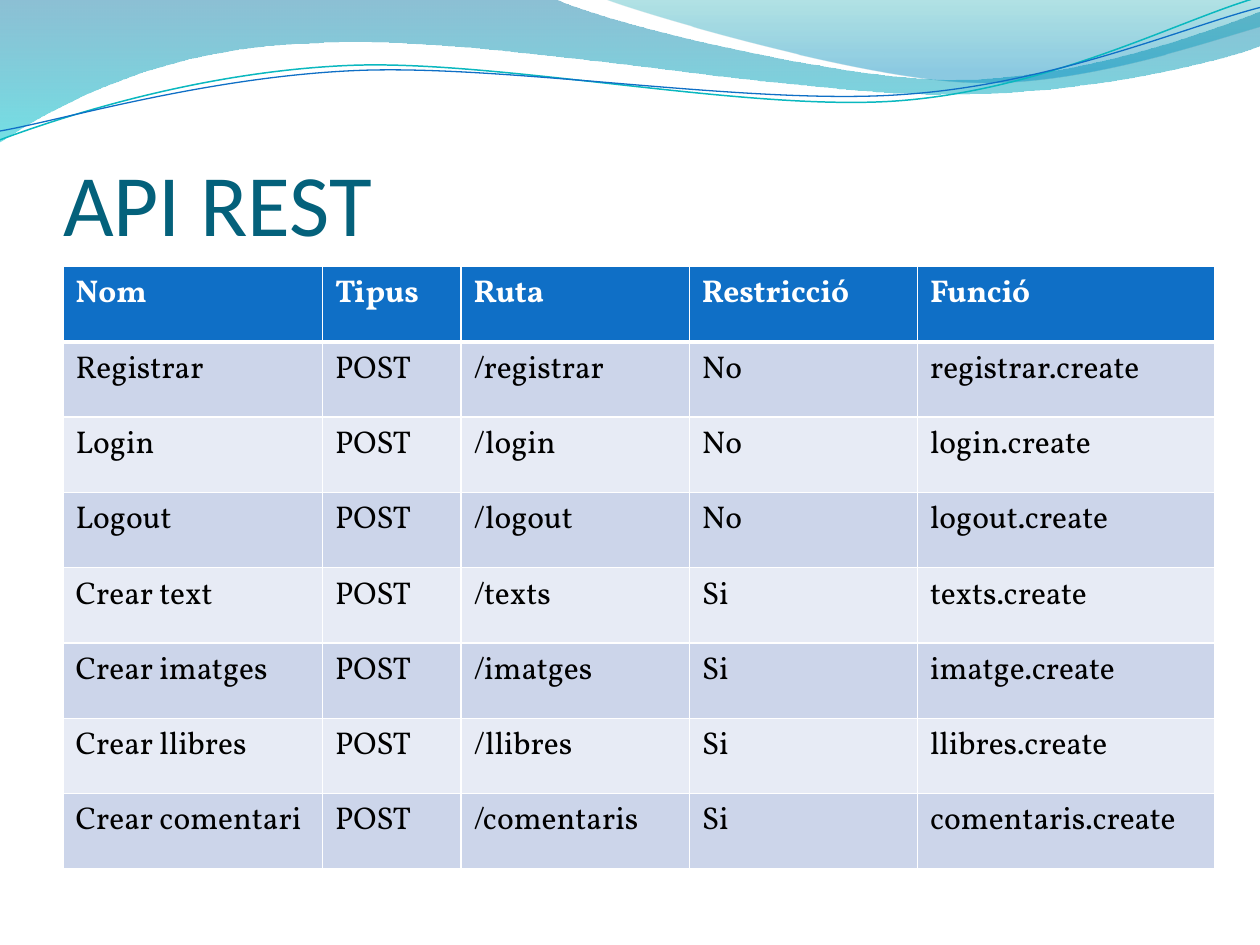
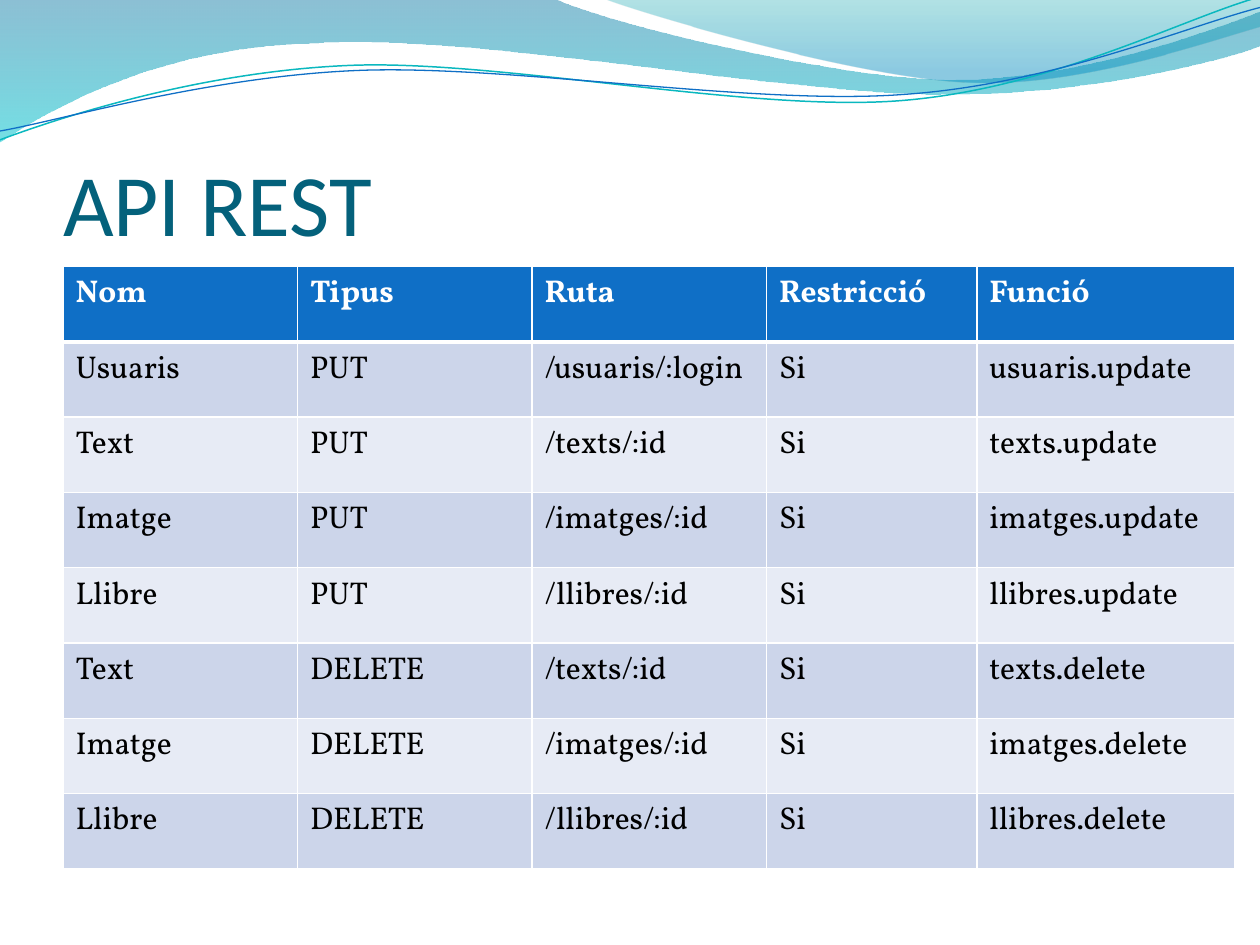
from dataclasses import dataclass
from math import cos, radians, sin

from lxml.etree import SubElement
from pptx import Presentation
from pptx.dml.color import RGBColor
from pptx.enum.text import MSO_ANCHOR, PP_ALIGN
from pptx.oxml.ns import qn
from pptx.util import Pt

# ---- Content ----
TITLE = "API REST"
HEADINGS = ("Nom", "Tipus", "Ruta", "Restricció", "Funció")
ROUTE_SLIDES = [
    {
        "column_widths": (148.3, 79.2, 130.4, 130.4, 170.1),
        "routes": [
            ("Registrar", "POST", "/registrar", "No", "registrar.create"),
            ("Login", "POST", "/login", "No", "login.create"),
            ("Logout", "POST", "/logout", "No", "logout.create"),
            ("Crear text", "POST", "/texts", "Si", "texts.create"),
            ("Crear imatges", "POST", "/imatges", "Si", "imatge.create"),
            ("Crear llibres", "POST", "/llibres", "Si", "llibres.create"),
            ("Crear comentari", "POST", "/comentaris", "Si", "comentaris.create"),
        ],
    },
    {
        "column_widths": (134, 134, 134, 120.2, 147.4),
        "routes": [
            ("Usuaris", "PUT", "/usuaris/:login", "Si", "usuaris.update"),
            ("Text", "PUT", "/texts/:id", "Si", "texts.update"),
            ("Imatge", "PUT", "/imatges/:id", "Si", "imatges.update"),
            ("Llibre", "PUT", "/llibres/:id", "Si", "llibres.update"),
            ("Text", "DELETE", "/texts/:id", "Si", "texts.delete"),
            ("Imatge", "DELETE", "/imatges/:id", "Si", "imatges.delete"),
            ("Llibre", "DELETE", "/llibres/:id", "Si", "llibres.delete"),
        ],
    },
]


# ---- Theme ----
@dataclass(frozen=True)
class Theme:
    title_font: str = "Calibri"
    table_font: str = "Vollkorn"
    title_size: float = 50
    table_size: float = 18
    title: str = "04617B"
    header: str = "0F6FC6"
    bands: tuple = ("CCD5EA", "E7EBF5")
    header_text: str = "FFFFFF"
    body_text: str = "000000"
    border: str = "FFFFFF"
    thin: float = 1
    thick: float = 3


THEME = Theme()
LEFT, TABLE_TOP, ROW_HEIGHT = 36, 152.3, 43.05

# Waves: a start point, then steps of one point (line) or three (curve).
# Gradient stops are position, colour, opacity in percent.
BANDS = [
    {
        "start": (0, 0),
        "steps": [
            [(316.8, -0.7)],
            [(342.7, 12.2), (478.1, 45.4), (545.8, 45.4)],
            [(614.2, 45.4), (689.8, 18.7), (720, 6.5)],
            [(720.7, 25.9)],
            [(707.8, 31.7), (626.4, 54.7), (537.1, 54)],
            [(447.8, 54), (275, 20.2), (185, 24.5)],
            [(92.9, 25.9), (33.1, 59.8), (-0.7, 81.4)],
            [(0, 0)],
        ],
        "stops": [(0, "0074A1", 45), (100, "00C6CF", 55)],
    },
    {
        "start": (344.9, -0.7),
        "steps": [
            [(366.5, 7.9), (491, 44.6), (553.7, 46.8)],
            [(616.3, 49.7), (691.9, 23), (720, 15.1)],
            [(720, 0)],
            [(344.9, -0.7)],
        ],
        "stops": [(0, "00A1A9", 30), (80, "008BBF", 45)],
    },
]
STRANDS = [
    {
        "start": (0, 79.9),
        "steps": [
            [(34.6, 67), (113.8, 41), (199.4, 37.4)],
            [(284.4, 33.8), (427, 64.1), (513.4, 57.6)],
            [(599.8, 51.1), (675.4, 10.8), (718.6, -1.4)],
        ],
        "centre": (359.3, 41.4), "color": "0AB8BF", "width": 0.85,
    },
    {
        "start": (0, 74.9),
        "steps": [
            [(33.8, 69.1), (118.1, 43.9), (203.8, 40.3)],
            [(290.2, 36.7), (429.8, 60.5), (516.2, 54)],
            [(601.9, 48.2), (677.5, 15.1), (720, 4.3)],
        ],
        "centre": (359.6, 42.5), "color": "0F6FC6", "width": 0.75,
    },
]
STRAND_TILT = 2.7
UNITS_PER_POINT = 100


def rgb(color):
    return RGBColor.from_string(color)


# ---- Waves ----
def level(point, centre):
    """Take the tilt out of a strand's point, so that its rotation can hold it."""
    c, s = cos(radians(STRAND_TILT)), sin(radians(STRAND_TILT))
    dx, dy = point[0] - centre[0], point[1] - centre[1]
    return centre[0] + dx * c - dy * s, centre[1] + dx * s + dy * c


def draw_path(shapes, start, steps, close):
    """Draw every point as a line, then join the lines of each curve into a Bezier."""
    points = [(x * UNITS_PER_POINT, y * UNITS_PER_POINT)
              for x, y in [start, *(point for step in steps for point in step)]]
    builder = shapes.build_freeform(*points[0], scale=Pt(1) / UNITS_PER_POINT)
    builder.add_line_segments(points[1:], close=close)
    wave = builder.convert_to_shape()
    wave.shadow.inherit = False
    lines = iter(list(wave._element.iter(qn("a:lnTo"))))
    for step in steps:
        first, *others = [next(lines) for _ in step]
        if others:
            first.tag = qn("a:cubicBezTo")
        for line in others:
            first.append(line[0])
            line.getparent().remove(line)
    return wave


def draw_band(shapes, band):
    wave = draw_path(shapes, band["start"], band["steps"], True)
    wave.line.fill.background()
    wave.fill.gradient()
    wave.fill.gradient_angle = 270
    for stop, (position, color, _) in zip(wave.fill.gradient_stops, band["stops"]):
        stop.position = position / 100
        stop.color.rgb = rgb(color)
    colors = wave._element.spPr.iter(qn("a:srgbClr"))
    for color, (_, _, opacity) in zip(colors, band["stops"]):
        SubElement(color, qn("a:alpha"), val=str(opacity * 1000))
    return wave


def draw_strand(shapes, strand):
    centre = strand["centre"]
    steps = [[level(point, centre) for point in step] for step in strand["steps"]]
    wave = draw_path(shapes, level(strand["start"], centre), steps, False)
    wave.rotation = -STRAND_TILT
    wave.fill.background()
    wave.line.color.rgb = rgb(strand["color"])
    wave.line.width = Pt(strand["width"])
    return wave


def add_waves_to_layout(layout, shapes):
    """Draw the waves once and hand them to the layout, behind its placeholders."""
    waves = [draw_band(shapes, band) for band in BANDS]
    waves += [draw_strand(shapes, strand) for strand in STRANDS]
    for index, wave in enumerate(waves, start=2):
        layout.shapes._spTree.insert(index, wave._element)


# ---- Title and table ----
def add_run(paragraph, text, font, size, color, bold=False):
    run = paragraph.add_run()
    run.text = text
    run.font.name, run.font.size, run.font.bold = font, Pt(size), bold
    run.font.color.rgb = rgb(color)


def set_title(title):
    title.left, title.top, title.width, title.height = Pt(LEFT), Pt(55.4), Pt(648), Pt(90)
    frame = title.text_frame
    frame.vertical_anchor = MSO_ANCHOR.BOTTOM
    frame.margin_left = frame.margin_right = frame.margin_bottom = 0
    frame.margin_top = Pt(3.6)
    frame.paragraphs[0].alignment = PP_ALIGN.LEFT
    add_run(frame.paragraphs[0], TITLE, THEME.title_font, THEME.title_size, THEME.title)


def set_borders(cell, top, bottom):
    sides = (("L", THEME.thin), ("R", THEME.thin), ("T", top), ("B", bottom))
    properties = cell._tc.get_or_add_tcPr()
    for index, (side, width) in enumerate(sides):
        border = SubElement(properties, qn(f"a:ln{side}"), w=str(Pt(width)))
        fill = SubElement(border, qn("a:solidFill"))
        SubElement(fill, qn("a:srgbClr"), val=THEME.border)
        properties.insert(index, border)


def add_route_table(shapes, routes, column_widths):
    rows = [HEADINGS, *routes]
    table = shapes.add_table(len(rows), len(HEADINGS), Pt(LEFT), Pt(TABLE_TOP),
                             Pt(sum(column_widths)), Pt(ROW_HEIGHT * len(rows))).table
    for column, width in zip(table.columns, column_widths):
        column.width = Pt(width)
    for r, values in enumerate(rows):
        is_header = r == 0
        table.rows[r].height = Pt(ROW_HEIGHT)
        for c, value in enumerate(values):
            cell = table.cell(r, c)
            cell.fill.solid()
            cell.fill.fore_color.rgb = rgb(THEME.header if is_header else THEME.bands[(r - 1) % 2])
            set_borders(cell, THEME.thick if r == 1 else THEME.thin,
                        THEME.thick if is_header else THEME.thin)
            add_run(cell.text_frame.paragraphs[0], value, THEME.table_font, THEME.table_size,
                    THEME.header_text if is_header else THEME.body_text, is_header)


# ---- Slides ----
presentation = Presentation()
presentation.slide_width, presentation.slide_height = Pt(720), Pt(540)
title_only = presentation.slide_layouts[5]
for number, content in enumerate(ROUTE_SLIDES):
    slide = presentation.slides.add_slide(title_only)
    if number == 0:
        add_waves_to_layout(title_only, slide.shapes)
    set_title(slide.shapes.title)
    add_route_table(slide.shapes, **content)
presentation.save("out.pptx")
